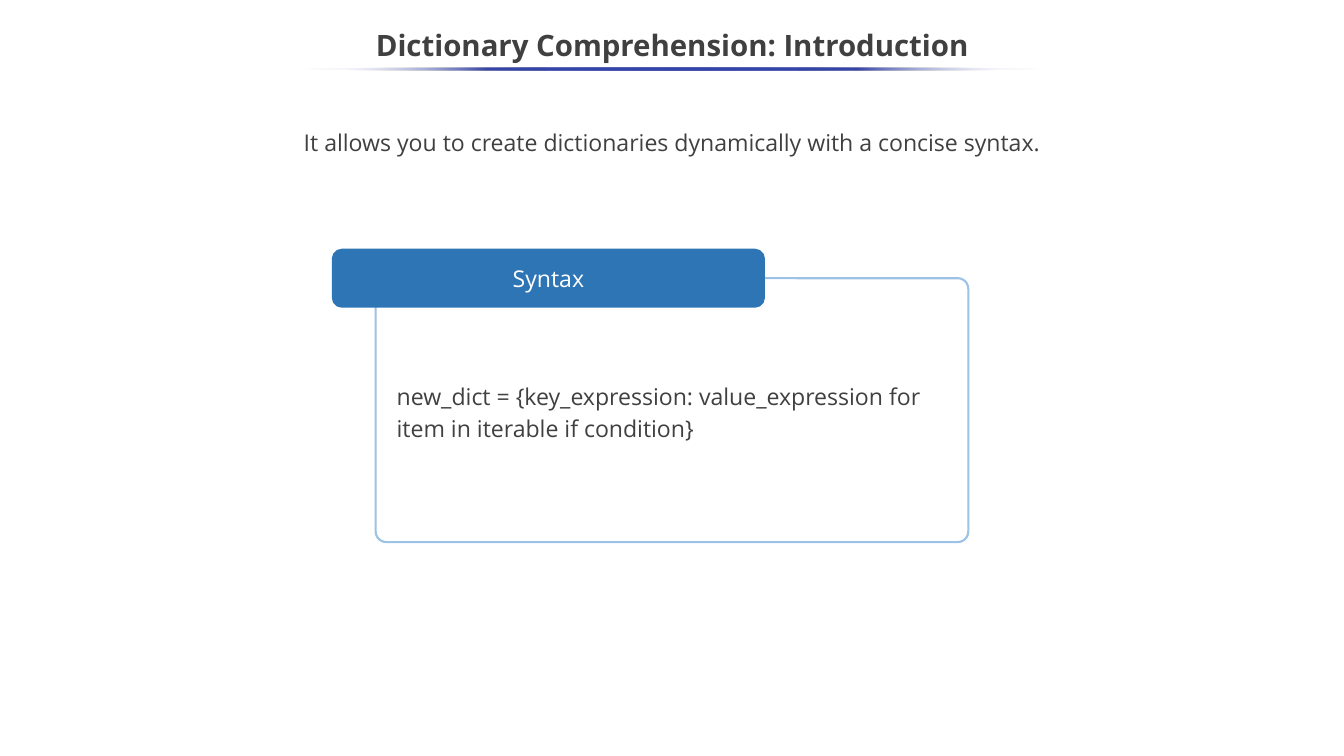
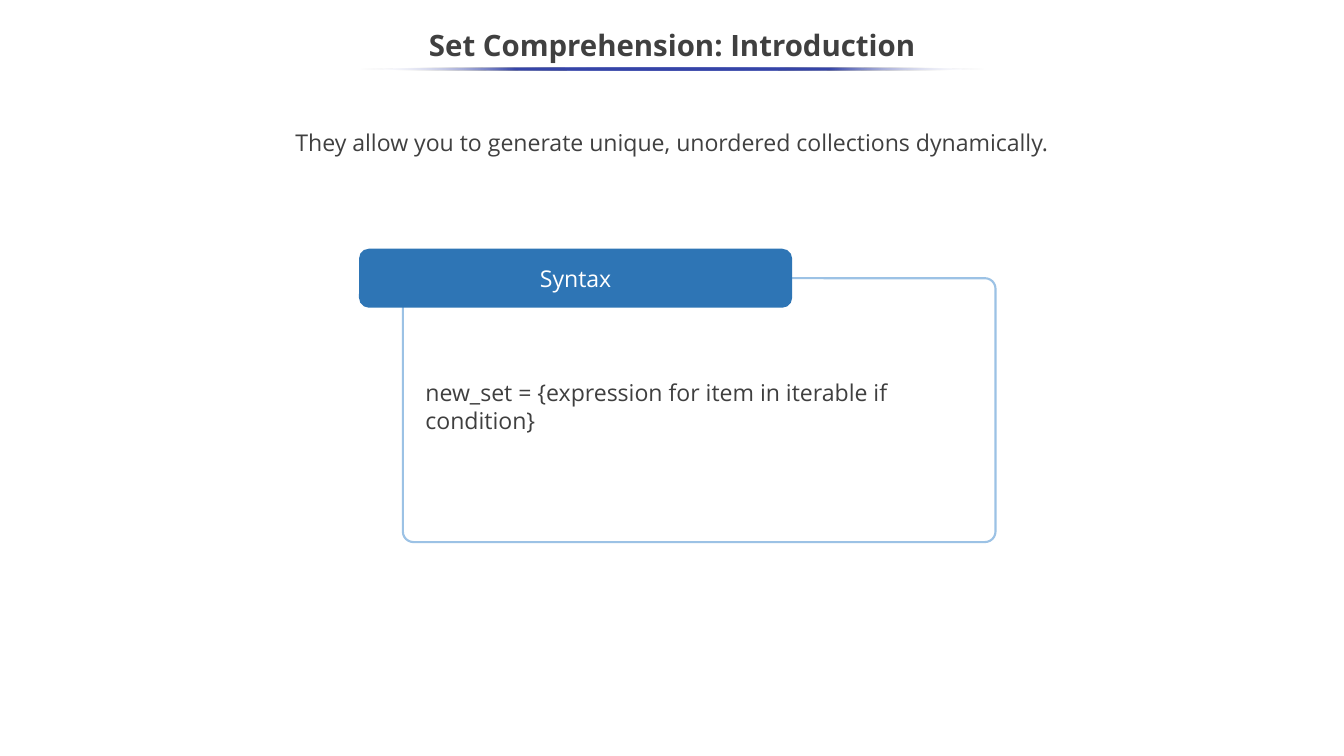
from lxml import etree
from pptx import Presentation
from pptx.dml.color import RGBColor
from pptx.enum.shapes import MSO_SHAPE
from pptx.enum.text import MSO_ANCHOR, MSO_AUTO_SIZE, PP_ALIGN
from pptx.oxml.ns import qn
from pptx.util import Inches, Pt

ELLIPSE, ROUNDED = MSO_SHAPE.OVAL, MSO_SHAPE.ROUNDED_RECTANGLE
TOP, MIDDLE = MSO_ANCHOR.TOP, MSO_ANCHOR.MIDDLE
LEFT, CENTER = PP_ALIGN.LEFT, PP_ALIGN.CENTER
FIXED, GROW = MSO_AUTO_SIZE.NONE, MSO_AUTO_SIZE.SHAPE_TO_FIT_TEXT

SLIDE_WIDTH, SLIDE_HEIGHT = 17.78, 10
FONT = "Open Sans"
WHITE, INK, CODE_INK = "FFFFFF", "404040", "3F3F3F"
TAB_BLUE, PANEL_BLUE, RULE_BLUE = "2E75B5", "9CC2E5", "3645A9"
RULE_STOPS = [(0, WHITE, 0), (25, RULE_BLUE, 100), (50, RULE_BLUE, 100),
              (75, RULE_BLUE, 100), (100, WHITE, 0)]

TOPICS = [
    {
        "title": "Dictionary Comprehension: Introduction",
        "rule_width": 9.74,
        "summary": "It allows you to create dictionaries dynamically with a concise syntax.",
        "panel_left": 4.97,
        "code": "new_dict = {key_expression: value_expression for item in iterable if condition}",
        "code_box": (5.15, 4.96, 7.64, 0.95),
        "code_format": {"line_spacing": 1.15},
        "code_color": INK,
    },
    {
        "title": "Set Comprehension: Introduction",
        "rule_width": 8.28,
        "summary": "They allow you to generate unique, unordered collections dynamically.",
        "panel_left": 5.33,
        "code": "new_set = {expression for item in iterable if condition}",
        "code_box": (5.53, 4.96, 7.64, 0.84),
        "code_format": {"line_spacing": 1.0},
        "code_color": CODE_INK,
    },
]


def rgb(value):
    return RGBColor.from_string(value)


def apply_format(target, values):
    for name, value in values.items():
        setattr(target, name, value)


def place(shape, left, top, width, height):
    apply_format(shape, {"left": Inches(left), "top": Inches(top),
                         "width": Inches(width), "height": Inches(height)})


def write_text(shape, text, color=INK, size=22, bold=False, frame_format=None,
               paragraph_format=None):
    frame = shape.text_frame
    apply_format(frame, {"word_wrap": True, "auto_size": FIXED,
                         "vertical_anchor": MIDDLE, **(frame_format or {})})
    para = frame.paragraphs[0]
    apply_format(para, {"alignment": CENTER, "space_before": Pt(0),
                        **(paragraph_format or {})})
    span = para.add_run()
    span.text = text
    apply_format(span.font, {"name": FONT, "size": Pt(size), "bold": bold})
    span.font.color.rgb = rgb(color)


def add_plain_shape(slide, kind, box, fill=None, line=None, corner=None):
    shape = slide.shapes.add_shape(kind, *map(Inches, box))
    shape.shadow.inherit = False
    if fill:
        shape.fill.solid()
        shape.fill.fore_color.rgb = rgb(fill)
    else:
        shape.fill.background()
    if line:
        shape.line.color.rgb = rgb(line)
        shape.line.width = Pt(2)
    else:
        shape.line.fill.background()
    if corner is not None:
        shape.adjustments[0] = corner
    return shape


def remove_bullet(para):
    properties = para._p.get_or_add_pPr()
    properties.set("marL", "0")
    properties.set("indent", "0")
    etree.SubElement(properties, qn("a:buNone"))


def add_title(slide, text):
    place(slide.shapes.title, 0, 0.25, SLIDE_WIDTH, 0.75)
    write_text(slide.shapes.title, text, size=28, bold=True,
               paragraph_format={"line_spacing": 0.9})


def add_summary(slide, text):
    body = slide.placeholders[1]
    place(body, 1.4, 1.65, 14.98, 0.99)
    remove_bullet(body.text_frame.paragraphs[0])
    write_text(body, text,
               frame_format={"vertical_anchor": TOP, "margin_top": 0, "margin_bottom": 0},
               paragraph_format={"line_spacing": 1.14})


def add_title_rule(slide, width):
    """Draw a thin centred ellipse that fades out at both ends."""
    rule = add_plain_shape(slide, ELLIPSE, ((SLIDE_WIDTH - width) / 2, 0.89, width, 0.04))
    rule.fill.gradient()
    rule.fill.gradient_angle = 180
    stops = rule._element.spPr.find(".//" + qn("a:gsLst"))
    for stop in list(stops):
        stops.remove(stop)
    for position, color, opacity in RULE_STOPS:
        stop = etree.SubElement(stops, qn("a:gs"), pos=str(position * 1000))
        shade = etree.SubElement(stop, qn("a:srgbClr"), val=color)
        if opacity < 100:
            etree.SubElement(shade, qn("a:alpha"), val=str(opacity * 1000))


def add_syntax_panel(slide, left):
    add_plain_shape(slide, ROUNDED, (left, 3.68, 7.84, 3.49), line=PANEL_BLUE, corner=0.04)
    tab = add_plain_shape(slide, ROUNDED, (left - 0.58, 3.29, 5.73, 0.78),
                          fill=TAB_BLUE, corner=0.167)
    write_text(tab, "Syntax", color=WHITE)


def add_code(slide, topic):
    code = slide.shapes.add_textbox(*map(Inches, topic["code_box"]))
    write_text(code, topic["code"], color=topic["code_color"],
               frame_format={"vertical_anchor": TOP, "auto_size": GROW},
               paragraph_format={"alignment": LEFT, **topic["code_format"]})


def add_topic_slide(deck, topic):
    slide = deck.slides.add_slide(deck.slide_layouts[1])
    slide.background.fill.solid()
    slide.background.fill.fore_color.rgb = rgb(WHITE)
    add_summary(slide, topic["summary"])
    add_title(slide, topic["title"])
    add_title_rule(slide, topic["rule_width"])
    add_syntax_panel(slide, topic["panel_left"])
    add_code(slide, topic)


def main():
    deck = Presentation()
    deck.slide_width = Inches(SLIDE_WIDTH)
    deck.slide_height = Inches(SLIDE_HEIGHT)
    for topic in TOPICS:
        add_topic_slide(deck, topic)
    deck.save("out.pptx")


if __name__ == "__main__":
    main()
